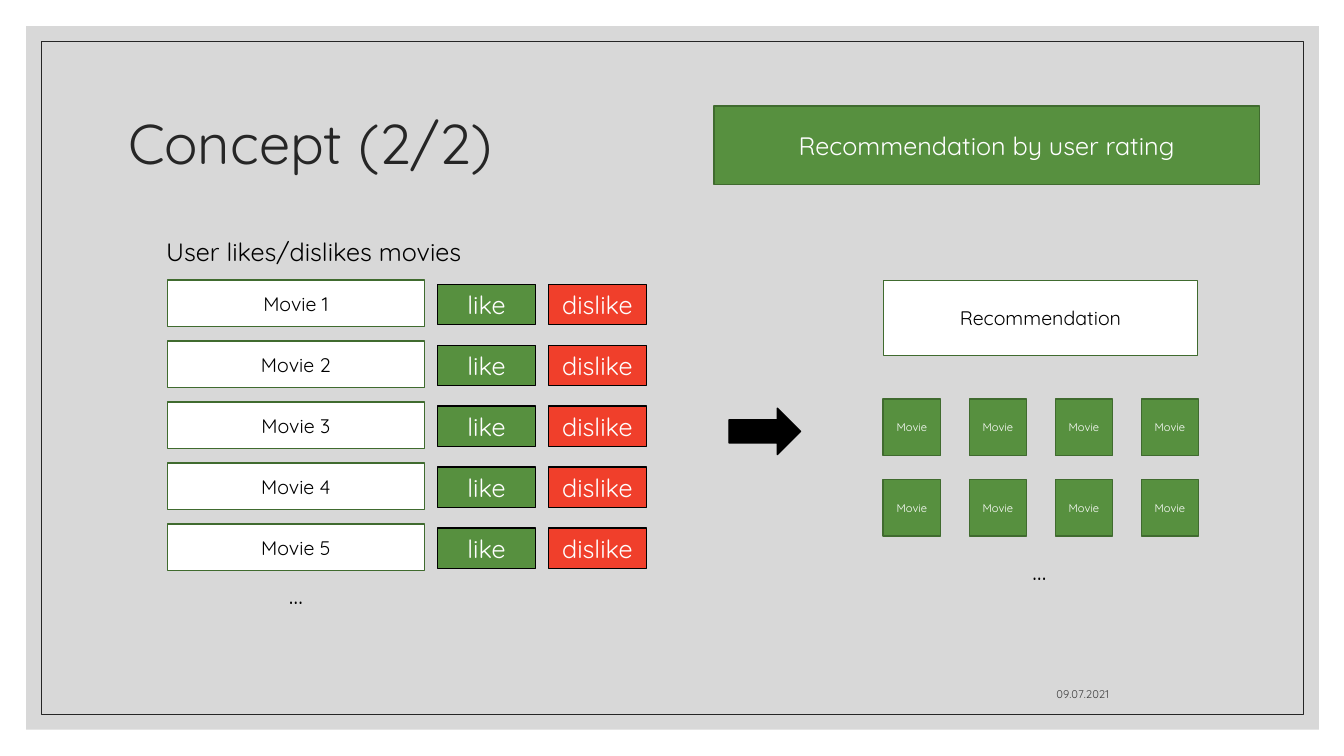
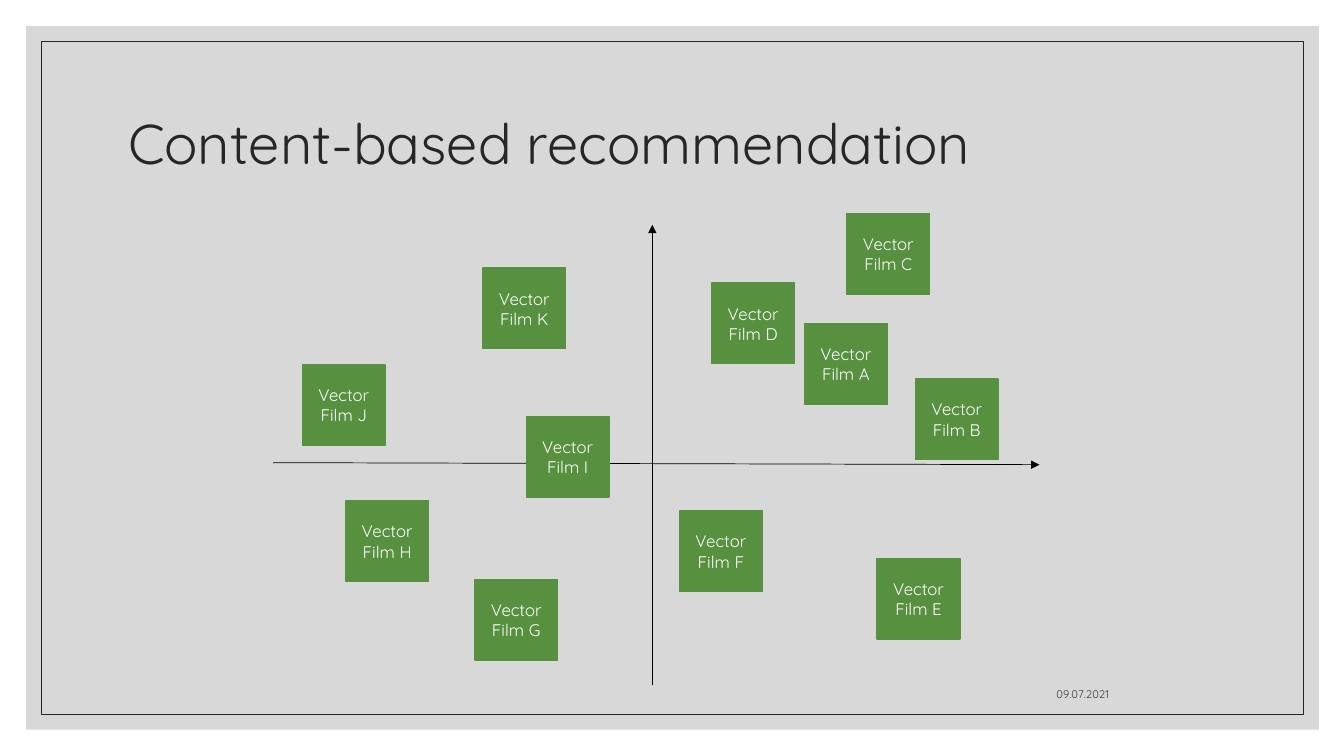
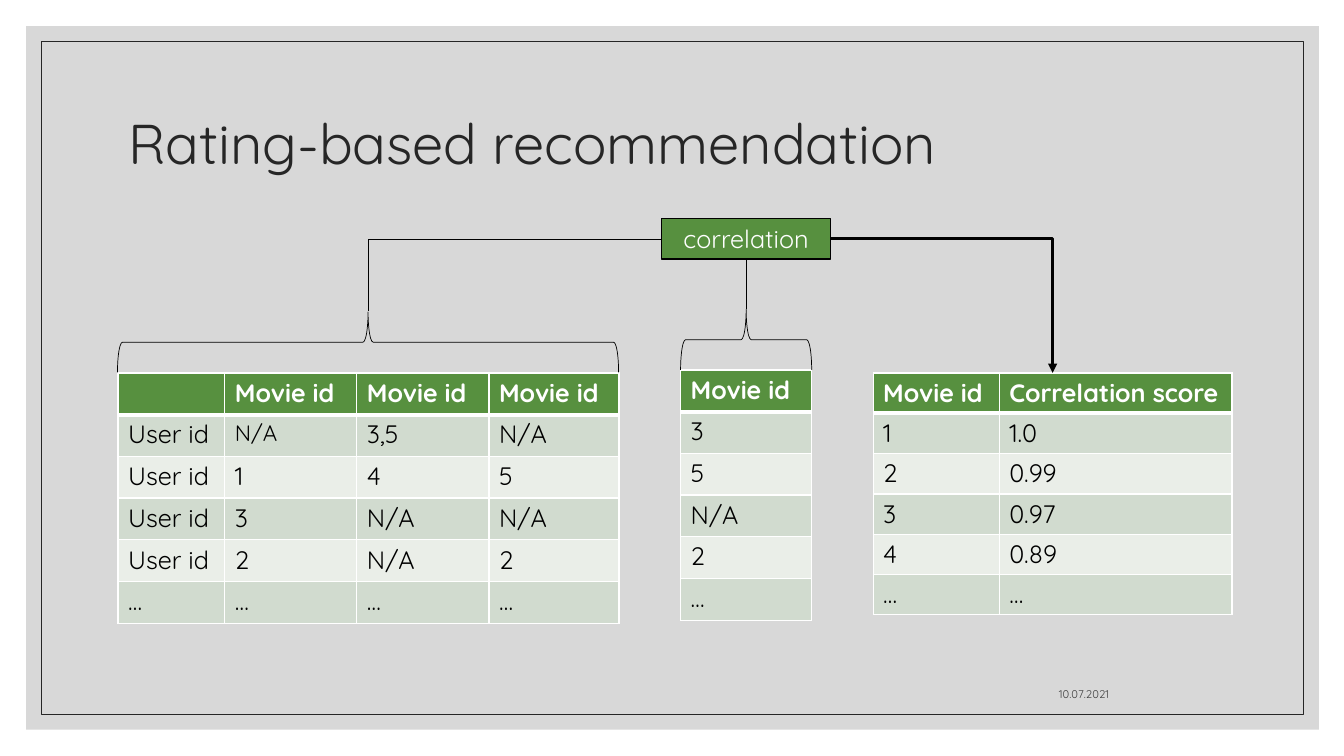
from dataclasses import dataclass

from lxml import etree
from pptx import Presentation
from pptx.dml.color import RGBColor
from pptx.enum import shapes, text
from pptx.oxml.ns import qn
from pptx.util import Inches, Pt


@dataclass(frozen=True)
class Theme:
    font: str = "Quicksand"
    green: str = "57903F"
    dark_green: str = "406B2F"
    red: str = "F03F2B"
    white: str = "FFFFFF"
    black: str = "000000"
    panel: str = "BFBFBF"
    ink: str = "262626"
    date: str = "404040"
    bands: tuple = ("D1DBCF", "EAEEE8")
    title_size: int = 40
    body_size: int = 18
    label_size: int = 14
    film_size: int = 12
    small_size: int = 8


THEME = Theme()
RECT = shapes.MSO_SHAPE.RECTANGLE
LEFT, CENTER, RIGHT = (text.PP_ALIGN.LEFT, text.PP_ALIGN.CENTER, text.PP_ALIGN.RIGHT)
TOP, MIDDLE, BOTTOM = (text.MSO_ANCHOR.TOP, text.MSO_ANCHOR.MIDDLE, text.MSO_ANCHOR.BOTTOM)

# Content
MOVIES = [f"Movie {number}" for number in range(1, 6)]
RATINGS = [("like", 4.34, THEME.green), ("dislike", 5.44, THEME.red)]
FILMS = {
    "H": (3.43, 4.97), "J": (3, 3.62), "G": (4.71, 5.75), "K": (4.79, 2.66),
    "I": (5.22, 4.13), "F": (6.74, 5.07), "E": (8.7, 5.54), "C": (8.4, 2.12),
    "D": (7.06, 2.81), "B": (9.08, 3.76), "A": (7.98, 3.21),
}
AXES = [((6.47, 6.8), (6.47, 2.23)), ((2.71, 4.59), (10.31, 4.61))]
TABLES = [
    dict(at=(1.17, 3.7), columns=(1.06, 1.31, 1.31, 1.29), row=0.414, rows=[
        ("", "Movie id", "Movie id", "Movie id"),
        ("User id", "N/A", "3,5", "N/A"),
        ("User id", "1", "4", "5"),
        ("User id", "3", "N/A", "N/A"),
        ("User id", "2", "N/A", "2"),
        ("…", "…", "…", "…")]),
    dict(at=(6.75, 3.67), columns=(1.3,), row=0.414, rows=[
        ("Movie id",), ("3",), ("5",), ("N/A",), ("2",), ("…",)]),
    dict(at=(8.66, 3.7), columns=(1.25, 2.31), row=0.4, rows=[
        ("Movie id", "Correlation score"),
        ("1", "1.0"), ("2", "0.99"), ("3", "0.97"), ("4", "0.89"), ("…", "…")]),
]


# Helpers
def inches(*values):
    return [Inches(value) for value in values]


def set_font(paragraph, size, color, bold=False):
    values = dict(name=THEME.font, size=Pt(size), bold=bold)
    for run in paragraph.runs:
        for name, value in values.items():
            setattr(run.font, name, value)
        run.font.color.rgb = RGBColor.from_string(color)


def write(shape, content, size, color, align=CENTER, anchor=MIDDLE):
    frame = shape.text_frame
    frame.text = content
    values = dict(word_wrap=True, vertical_anchor=anchor, auto_size=text.MSO_AUTO_SIZE.NONE)
    for name, value in values.items():
        setattr(frame, name, value)
    for paragraph in frame.paragraphs:
        paragraph.alignment = align
        set_font(paragraph, size, color)


def add_shape(slide, kind, box, fill=None, line=None, width=1):
    shape = slide.shapes.add_shape(kind, *inches(*box))
    shape.shadow.inherit = False
    if fill:
        shape.fill.solid()
        shape.fill.fore_color.rgb = RGBColor.from_string(fill)
    else:
        shape.fill.background()
    if line:
        shape.line.color.rgb = RGBColor.from_string(line)
        shape.line.width = Pt(width)
    else:
        shape.line.fill.background()
    return shape


def add_box(slide, box, content, size=THEME.body_size, fill=THEME.green,
            line=THEME.dark_green, color=THEME.white, width=1):
    shape = add_shape(slide, RECT, box, fill, line, width)
    write(shape, content, size, color)
    return shape


def add_label(slide, box, content, size=THEME.body_size, color=THEME.black,
              align=CENTER, anchor=TOP):
    write(slide.shapes.add_textbox(*inches(*box)), content, size, color, align, anchor)


def add_line(slide, start, end, width=0.5, arrow=False, bent=False):
    kind = shapes.MSO_CONNECTOR.ELBOW if bent else shapes.MSO_CONNECTOR.STRAIGHT
    connector = slide.shapes.add_connector(kind, *inches(*start, *end))
    connector.line.color.rgb = RGBColor.from_string(THEME.black)
    connector.line.width = Pt(width)
    properties = connector.element.spPr
    if bent:
        properties.find(qn("a:prstGeom")).set("prst", "bentConnector2")
    if arrow:
        etree.SubElement(properties.find(qn("a:ln")), qn("a:tailEnd"), type="triangle")
    etree.SubElement(properties, qn("a:effectLst"))


def set_borders(cell, header):
    properties = cell._tc.get_or_add_tcPr()
    for side in "LRTB":
        width = 3 if header and side == "B" else 1
        line = etree.SubElement(properties, qn(f"a:ln{side}"), w=str(Pt(width)))
        fill = etree.SubElement(line, qn("a:solidFill"))
        etree.SubElement(fill, qn("a:srgbClr"), val=THEME.white)


def add_table(slide, at, columns, row, rows):
    size = (sum(columns), row * len(rows))
    table = slide.shapes.add_table(len(rows), len(columns), *inches(*at, *size)).table
    for column, width in zip(table.columns, columns):
        column.width = Inches(width)
    for row_index, values in enumerate(rows):
        header = row_index == 0
        for column_index, value in enumerate(values):
            cell = table.cell(row_index, column_index)
            set_borders(cell, header)
            cell.fill.solid()
            fill = THEME.green if header else THEME.bands[(row_index - 1) % 2]
            cell.fill.fore_color.rgb = RGBColor.from_string(fill)
            cell.margin_top = cell.margin_bottom = Inches(0.04)
            cell.text = value
            size = 16 if (value, row_index, column_index) == ("N/A", 1, 1) else THEME.body_size
            set_font(cell.text_frame.paragraphs[0], size,
                     THEME.white if header else THEME.black, header)


# Shared layout
def prepare_layout(presentation, layout):
    """Draw the panel and frame behind every slide and place the title."""
    for placeholder in layout.placeholders:
        if placeholder.placeholder_format.idx == 0:
            names = ("left", "top", "width", "height")
            for name, value in zip(names, inches(1.17, 0.7, 11, 1.5)):
                setattr(placeholder, name, value)
    draft = presentation.slides.add_slide(layout)
    panel = add_shape(draft, RECT, (0.26, 0.26, 12.82, 6.98), THEME.panel)
    color = panel.element.spPr.find(qn("a:solidFill")).find(qn("a:srgbClr"))
    etree.SubElement(color, qn("a:alpha"), val="60000")
    frame = add_shape(draft, RECT, (0.41, 0.41, 12.52, 6.68), line=THEME.ink, width=0.5)
    for position, shape in enumerate((panel, frame), start=2):
        layout.element.cSld.spTree.insert(position, shape.element)
    return draft


def start_slide(slide, title, date):
    write(slide.shapes.title, title, THEME.title_size, THEME.ink, LEFT)
    slide.shapes.title.text_frame.paragraphs[0].line_spacing = 0.9
    add_label(slide, (7.94, 6.6, 3.16, 0.4), date, THEME.small_size, THEME.date, RIGHT, BOTTOM)


# Slides
def build_concept(slide):
    start_slide(slide, "Concept (2/2)", "09.07.2021")
    add_box(slide, (7.08, 1.05, 5.41, 0.78), "Recommendation by user rating")
    plain = dict(size=THEME.label_size, fill=THEME.white, color=THEME.black)

    # Rated movies
    add_label(slide, (1.55, 2.3, 4.6, 0.4), "User likes/dislikes movies", align=LEFT)
    for index, movie in enumerate(MOVIES):
        top = 2.78 + 0.605 * index
        add_box(slide, (1.66, top, 2.55, 0.46), movie, **plain)
        for rating, left, fill in RATINGS:
            add_box(slide, (left, top + 0.04, 0.97, 0.4), rating, fill=fill, line=THEME.black)
    add_label(slide, (1.66, 5.7, 2.55, 0.4), "…")

    # Recommended movies
    add_shape(slide, shapes.MSO_SHAPE.RIGHT_ARROW, (7.23, 4.05, 0.71, 0.46),
              THEME.black, THEME.black)
    add_box(slide, (8.76, 2.78, 3.12, 0.75), "Recommendation", **plain)
    for index in range(8):
        row, column = divmod(index, 4)
        add_box(slide, (8.76 + 0.853 * column, 3.96 + 0.8 * row, 0.57, 0.56),
                "Movie", THEME.small_size)
    add_label(slide, (8.75, 5.46, 3.12, 0.4), "…")


def build_content_based(slide):
    start_slide(slide, "Content-based recommendation", "09.07.2021")
    for start, end in AXES:
        add_line(slide, start, end, arrow=True)
    for film, corner in FILMS.items():
        add_box(slide, (*corner, 0.82, 0.8), f"Vector\nFilm {film}", THEME.film_size,
                line=THEME.green)


def build_rating_based(slide):
    start_slide(slide, "Rating-based recommendation", "10.07.2021")
    for table in TABLES:
        add_table(slide, **table)
    for box in ((3.35, 0.91, 0.6, 4.97), (7.1, 2.72, 0.6, 1.3)):
        brace = add_shape(slide, shapes.MSO_SHAPE.LEFT_BRACE, box, line=THEME.black, width=0.5)
        brace.rotation = 90
    add_box(slide, (6.56, 2.17, 1.68, 0.4), "correlation", line=THEME.black, width=0.75)
    add_line(slide, (6.56, 2.37), (3.65, 3.09), bent=True)
    add_line(slide, (7.4, 2.57), (7.4, 3.07))
    add_line(slide, (8.24, 2.37), (10.44, 3.7), width=2.25, arrow=True, bent=True)


def main():
    presentation = Presentation()
    presentation.slide_width, presentation.slide_height = inches(13.33, 7.5)
    layout = presentation.slide_layouts.get_by_name("Title Only")
    build_concept(prepare_layout(presentation, layout))
    for build in (build_content_based, build_rating_based):
        build(presentation.slides.add_slide(layout))
    presentation.save("out.pptx")


if __name__ == "__main__":
    main()
